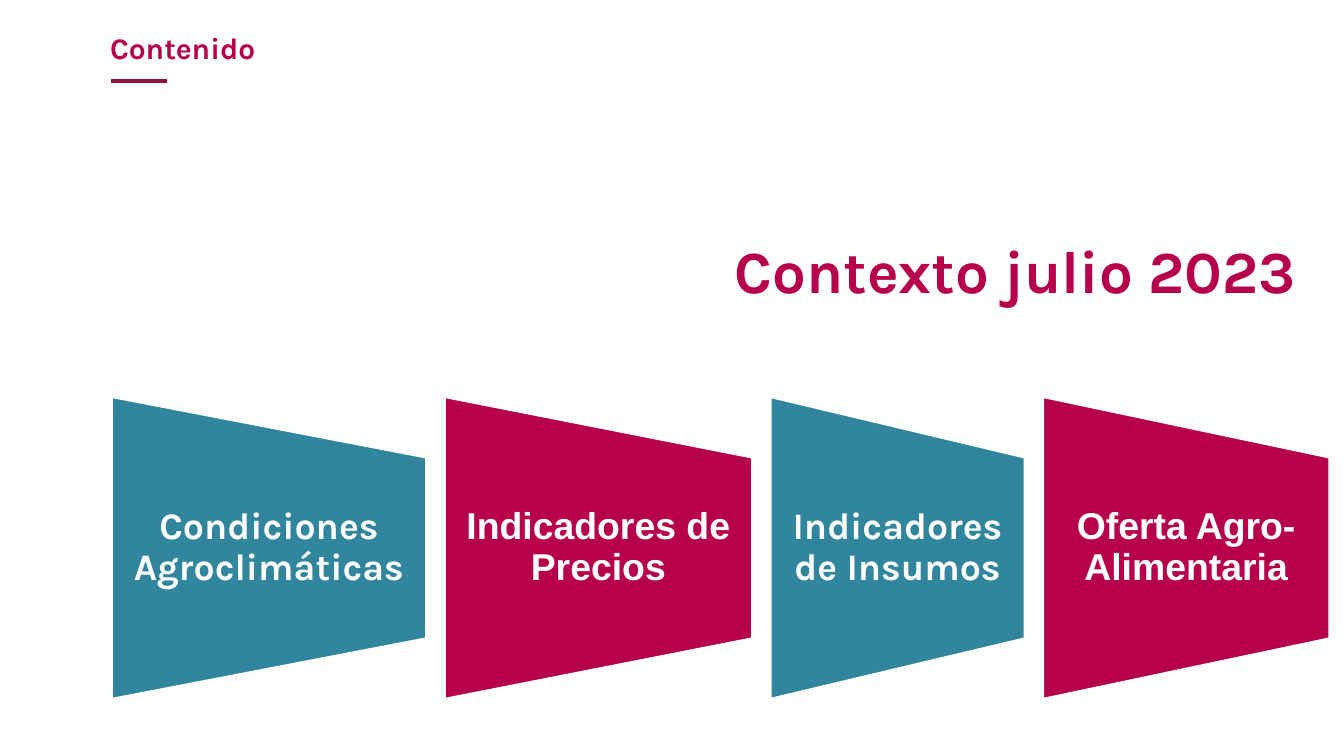
"""Build the contents slide: a heading, a title and a row of tapered topic cards."""
import dataclasses
import typing

import lxml.etree
import pptx
import pptx.dml.color
import pptx.enum.shapes
import pptx.enum.text
import pptx.oxml.ns
import pptx.slide
import pptx.util

Cm = pptx.util.Cm
Pt = pptx.util.Pt
Align = pptx.enum.text.PP_ALIGN
Anchor = pptx.enum.text.MSO_ANCHOR
AutoSize = pptx.enum.text.MSO_AUTO_SIZE


@dataclasses.dataclass(frozen=True)
class Theme:
    heading: str = "B6004B"
    rule: str = "8D143D"
    teal: str = "31859C"
    crimson: str = "B6004C"
    white: str = "FFFFFF"
    display_font: str = "Karla"
    plain_font: str = "Arial"
    heading_size: float = 16
    card_size: float = 20
    title_size: float = 32
    line_width: float = 2


class Frame(typing.NamedTuple):
    left: float
    top: float
    width: float
    height: float


class TextStyle(typing.NamedTuple):
    font: str
    size: float
    color: str
    align: Align = Align.LEFT
    anchor: Anchor = Anchor.TOP
    margins: tuple[float, float, float, float] = (0.25, 0.13, 0.25, 0.13)
    line_spacing: float = 1.0
    auto_size: AutoSize = AutoSize.SHAPE_TO_FIT_TEXT


class Card(typing.NamedTuple):
    label: str
    width: float
    fill: str
    font: str


THEME = Theme()
SLIDE_SIZE = (25.4, 14.28)
CARDS_LEFT = 2.1
CARDS_MIDDLE = 10.35
CARD_HEIGHT = 5.74
CARD_GAP = 0.32
LABEL_HEIGHT = 3.43
CARDS = (
    Card("Condiciones Agroclimáticas", 5.97, THEME.teal, THEME.display_font),
    Card("Indicadores de Precios", 5.84, THEME.crimson, THEME.plain_font),
    Card("Indicadores de Insumos", 4.83, THEME.teal, THEME.display_font),
    Card("Oferta Agro-Alimentaria", 5.44, THEME.crimson, THEME.plain_font),
)


def rgb(color: str) -> pptx.dml.color.RGBColor:
    """Turn a hex string into a colour."""
    return pptx.dml.color.RGBColor.from_string(color)


def add_text(page: pptx.slide.Slide, frame: Frame, text: str, style: TextStyle) -> None:
    """Add a wrapped text box with one bold paragraph."""
    box = page.shapes.add_textbox(*map(Cm, frame))
    body = box.text_frame
    body.word_wrap = True
    body.auto_size = style.auto_size
    body.vertical_anchor = style.anchor
    body.margin_left, body.margin_top, body.margin_right, body.margin_bottom = map(Cm, style.margins)
    paragraph = body.paragraphs[0]
    paragraph.text = text
    paragraph.alignment = style.align
    paragraph.line_spacing = style.line_spacing
    paragraph.font.name = style.font
    paragraph.font.size = Pt(style.size)
    paragraph.font.bold = True
    paragraph.font.color.rgb = rgb(style.color)


def add_rule(page: pptx.slide.Slide, left: float, right: float, top: float) -> None:
    """Add the short line under the heading."""
    rule = page.shapes.add_connector(
        pptx.enum.shapes.MSO_CONNECTOR.STRAIGHT, Cm(left), Cm(top), Cm(right), Cm(top)
    )
    rule.line.color.rgb = rgb(THEME.rule)
    rule.line.width = Pt(THEME.line_width)
    properties = rule._element.spPr
    lxml.etree.SubElement(properties, pptx.oxml.ns.qn("a:effectLst"))


def add_card(page: pptx.slide.Slide, card: Card, left: float) -> None:
    """Add a trapezoid lying on its side with an upright label over it."""
    center = left + card.width / 2
    frame = Frame(center - CARD_HEIGHT / 2, CARDS_MIDDLE - card.width / 2, CARD_HEIGHT, card.width)
    shape = page.shapes.add_shape(
        pptx.enum.shapes.MSO_SHAPE.FLOWCHART_MANUAL_OPERATION, *map(Cm, frame)
    )
    shape.rotation = 270
    shape.shadow.inherit = False
    shape.fill.solid()
    shape.fill.fore_color.rgb = rgb(card.fill)
    shape.line.color.rgb = rgb(THEME.white)
    shape.line.width = Pt(THEME.line_width)
    style = TextStyle(
        card.font, THEME.card_size, THEME.white, Align.CENTER, Anchor.MIDDLE,
        margins=(0.36, 0, 0.36, 0), line_spacing=0.9, auto_size=AutoSize.NONE,
    )
    label_frame = Frame(left, CARDS_MIDDLE - LABEL_HEIGHT / 2, card.width, LABEL_HEIGHT)
    add_text(page, label_frame, card.label, style)


def main() -> None:
    """Compose and save the deck."""
    deck = pptx.Presentation()
    deck.slide_width, deck.slide_height = map(Cm, SLIDE_SIZE)
    page = deck.slides.add_slide(deck.slide_layouts[6])
    heading = TextStyle(THEME.display_font, THEME.heading_size, THEME.heading)
    add_text(page, Frame(1.83, 0.43, 19.1, 0.94), "Contenido", heading)
    add_rule(page, left=2.1, right=3.15, top=1.53)
    left = CARDS_LEFT
    for card in CARDS:
        add_card(page, card, left)
        left += card.width + CARD_GAP
    title = TextStyle(
        THEME.display_font, THEME.title_size, THEME.heading, Align.RIGHT, margins=(0, 0.05, 0, 0)
    )
    add_text(page, Frame(11.5, 4.37, 13, 1.42), "Contexto julio 2023", title)
    deck.save("out.pptx")


if __name__ == "__main__":
    main()
